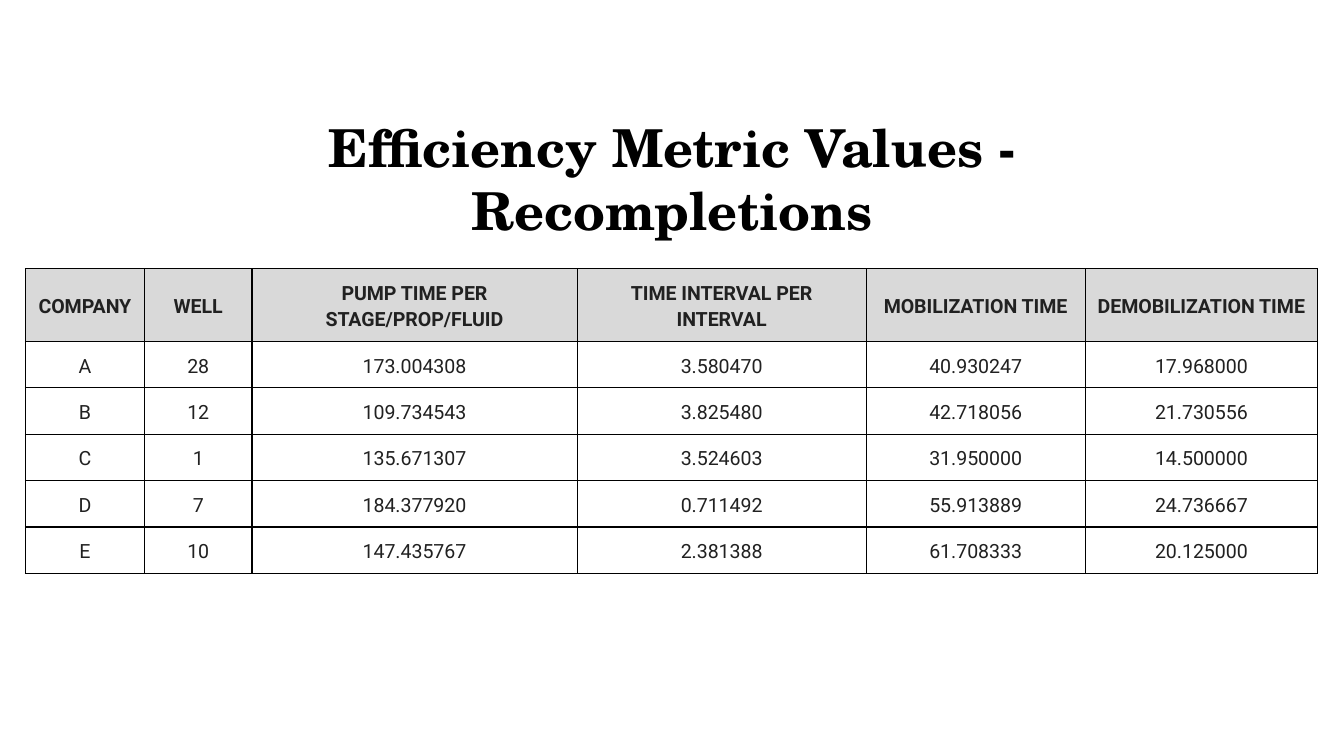
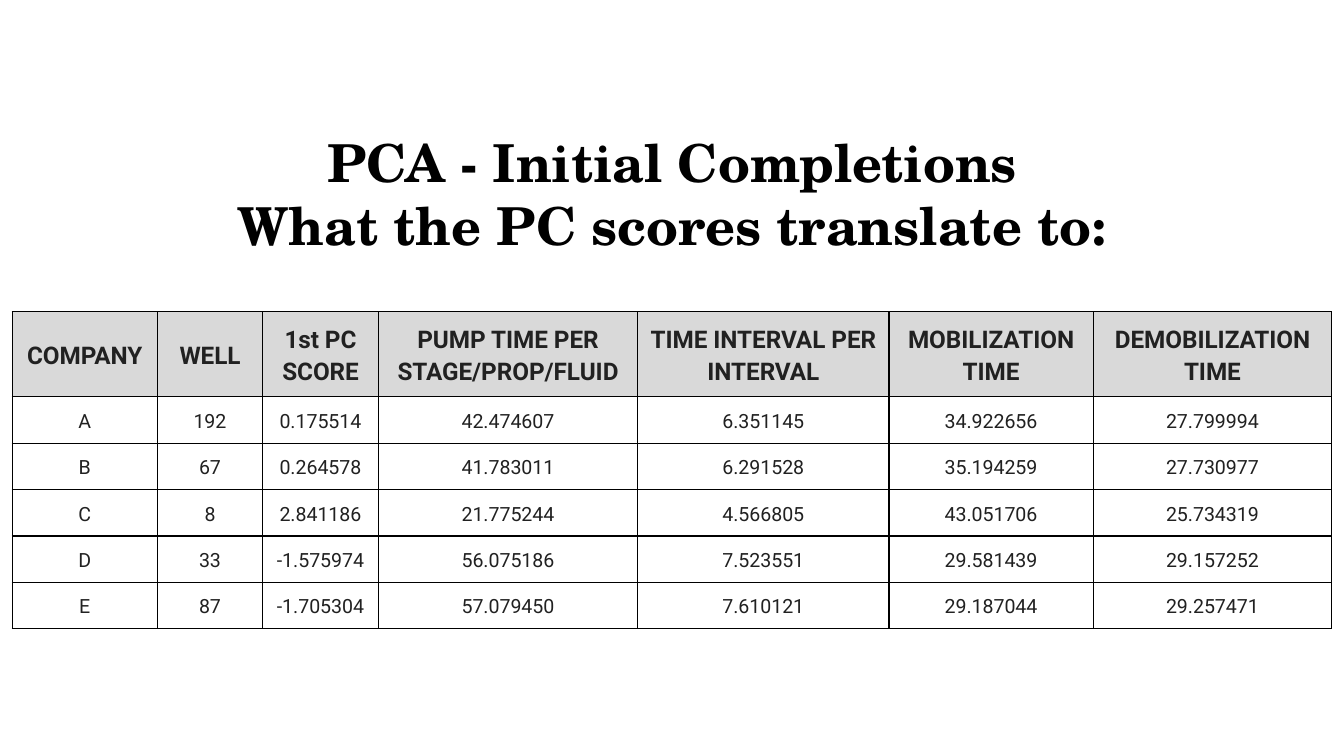
from lxml.etree import SubElement
from pptx import Presentation
from pptx.dml.color import RGBColor
from pptx.enum.text import MSO_ANCHOR, MSO_AUTO_SIZE, PP_ALIGN
from pptx.oxml.ns import qn
from pptx.util import Emu, Pt

EMU_PER_PX = 4572  # 200 px to the inch

BLACK = RGBColor(0x00, 0x00, 0x00)
WHITE = RGBColor(0xFF, 0xFF, 0xFF)
INK = RGBColor(0x21, 0x21, 0x21)
HEADER_GREY = RGBColor(0xD9, 0xD9, 0xD9)

SLIDE_WIDTH, SLIDE_HEIGHT = 2000, 1125
TITLE_FONT, TITLE_SIZE = "TeX Gyre Schola", 28
TABLE_FONT, VALUE_SIZE = "Roboto", 10.5
TITLE_LEFT, TITLE_WIDTH, TITLE_HEIGHT = 198, 1604, 188
TITLE_INSET, CELL_INSET = 20, 15
HEADER_HEIGHT, VALUE_HEIGHT = 96, 62
BORDER_WIDTH = Pt(0.75)

TIME_HEADERS = [
    "PUMP TIME PER STAGE/PROP/FLUID",
    "TIME INTERVAL PER INTERVAL",
    "MOBILIZATION TIME",
    "DEMOBILIZATION TIME",
]

RECOMPLETIONS = [
    ["COMPANY", "WELL", *TIME_HEADERS],
    ["A", "28", "173.004308", "3.580470", "40.930247", "17.968000"],
    ["B", "12", "109.734543", "3.825480", "42.718056", "21.730556"],
    ["C", "1", "135.671307", "3.524603", "31.950000", "14.500000"],
    ["D", "7", "184.377920", "0.711492", "55.913889", "24.736667"],
    ["E", "10", "147.435767", "2.381388", "61.708333", "20.125000"],
]

PC_SCORES = [
    ["COMPANY", "WELL", "1st PC\nSCORE", *TIME_HEADERS],
    ["A", "192", "0.175514", "42.474607", "6.351145", "34.922656", "27.799994"],
    ["B", "67", "0.264578", "41.783011", "6.291528", "35.194259", "27.730977"],
    ["C", "8", "2.841186", "21.775244", "4.566805", "43.051706", "25.734319"],
    ["D", "33", "-1.575974", "56.075186", "7.523551", "29.581439", "29.157252"],
    ["E", "87", "-1.705304", "57.079450", "7.610121", "29.187044", "29.257471"],
]


def px(length):
    return Emu(length * EMU_PER_PX)


def set_insets(holder, inset):
    holder.margin_left = holder.margin_right = px(inset)
    holder.margin_top = holder.margin_bottom = px(inset)


def write_centred(frame, text, font_name, size, color, bold, line_spacing=1.0):
    """Write each line of text as a centred paragraph holding one run."""
    for index, line in enumerate(text.split("\n")):
        paragraph = frame.paragraphs[0] if index == 0 else frame.add_paragraph()
        paragraph.alignment = PP_ALIGN.CENTER
        paragraph.line_spacing = line_spacing
        run = paragraph.add_run()
        run.text = line
        run.font.name = font_name
        run.font.size = Pt(size)
        run.font.bold = bold
        run.font.color.rgb = color


def add_titled_slide(prs, title_text, top):
    slide = prs.slides.add_slide(prs.slide_layouts[5])
    title = slide.shapes.title
    title.left, title.top = px(TITLE_LEFT), px(top)
    title.width, title.height = px(TITLE_WIDTH), px(TITLE_HEIGHT)
    frame = title.text_frame
    frame.word_wrap = True
    frame.auto_size = MSO_AUTO_SIZE.NONE
    frame.vertical_anchor = MSO_ANCHOR.MIDDLE
    set_insets(frame, TITLE_INSET)
    write_centred(frame, title_text, TITLE_FONT, TITLE_SIZE, BLACK, True)
    return slide


def add_borders(cell):
    properties = cell._tc.get_or_add_tcPr()
    for side in ("a:lnL", "a:lnR", "a:lnT", "a:lnB"):
        border = SubElement(properties, qn(side), w=str(BORDER_WIDTH))
        fill = SubElement(border, qn("a:solidFill"))
        SubElement(fill, qn("a:srgbClr"), val=str(BLACK))


def format_cell(cell, text, size, is_header):
    add_borders(cell)
    cell.fill.solid()
    cell.fill.fore_color.rgb = HEADER_GREY if is_header else WHITE
    cell.vertical_anchor = MSO_ANCHOR.MIDDLE
    set_insets(cell, CELL_INSET)
    write_centred(cell.text_frame, text, TABLE_FONT, size, INK, is_header, 1.15)


def add_metric_table(slide, rows, left, top, column_widths, header_size):
    heights = [HEADER_HEIGHT] + [VALUE_HEIGHT] * (len(rows) - 1)
    table = slide.shapes.add_table(
        len(rows), len(column_widths), px(left), px(top),
        px(sum(column_widths)), px(sum(heights)),
    ).table
    table.horz_banding = False
    for column, width in zip(table.columns, column_widths):
        column.width = px(width)
    for row_index, (row, height, values) in enumerate(zip(table.rows, heights, rows)):
        row.height = px(height)
        is_header = row_index == 0
        size = header_size if is_header else VALUE_SIZE
        for cell, text in zip(row.cells, values):
            format_cell(cell, text, size, is_header)


def main():
    prs = Presentation()
    prs.slide_width, prs.slide_height = px(SLIDE_WIDTH), px(SLIDE_HEIGHT)

    recompletions = add_titled_slide(
        prs, "Efficiency Metric Values - Recompletions", 171)
    add_metric_table(recompletions, RECOMPLETIONS, 38, 400,
                     [177, 160, 484, 430, 326, 346], 10.5)

    pc_scores = add_titled_slide(
        prs, "PCA - Initial Completions\nWhat the PC scores translate to:", 193)
    add_metric_table(pc_scores, PC_SCORES, 18, 464,
                     [216, 157, 172, 386, 374, 304, 355], 13)

    prs.save("out.pptx")


if __name__ == "__main__":
    main()
